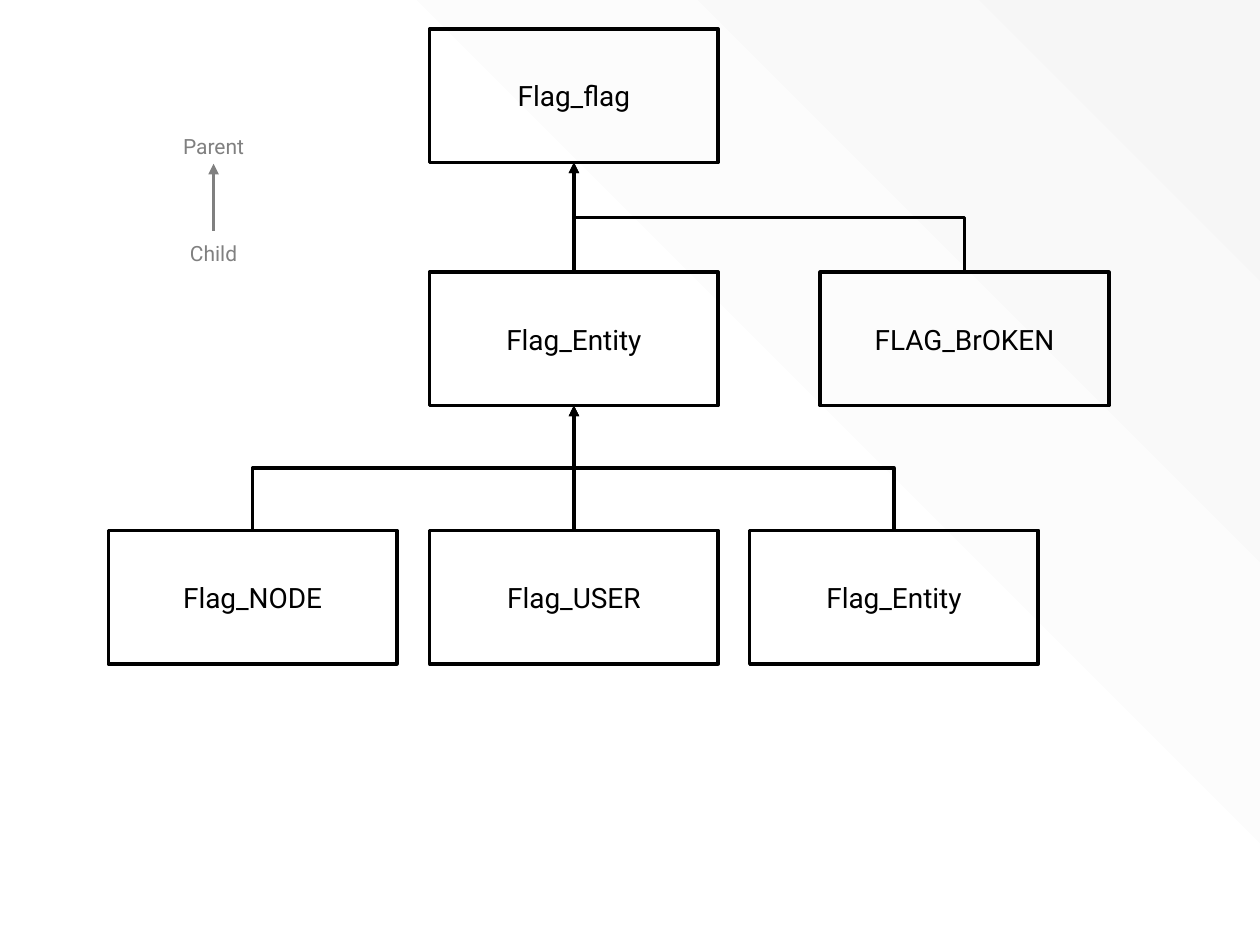
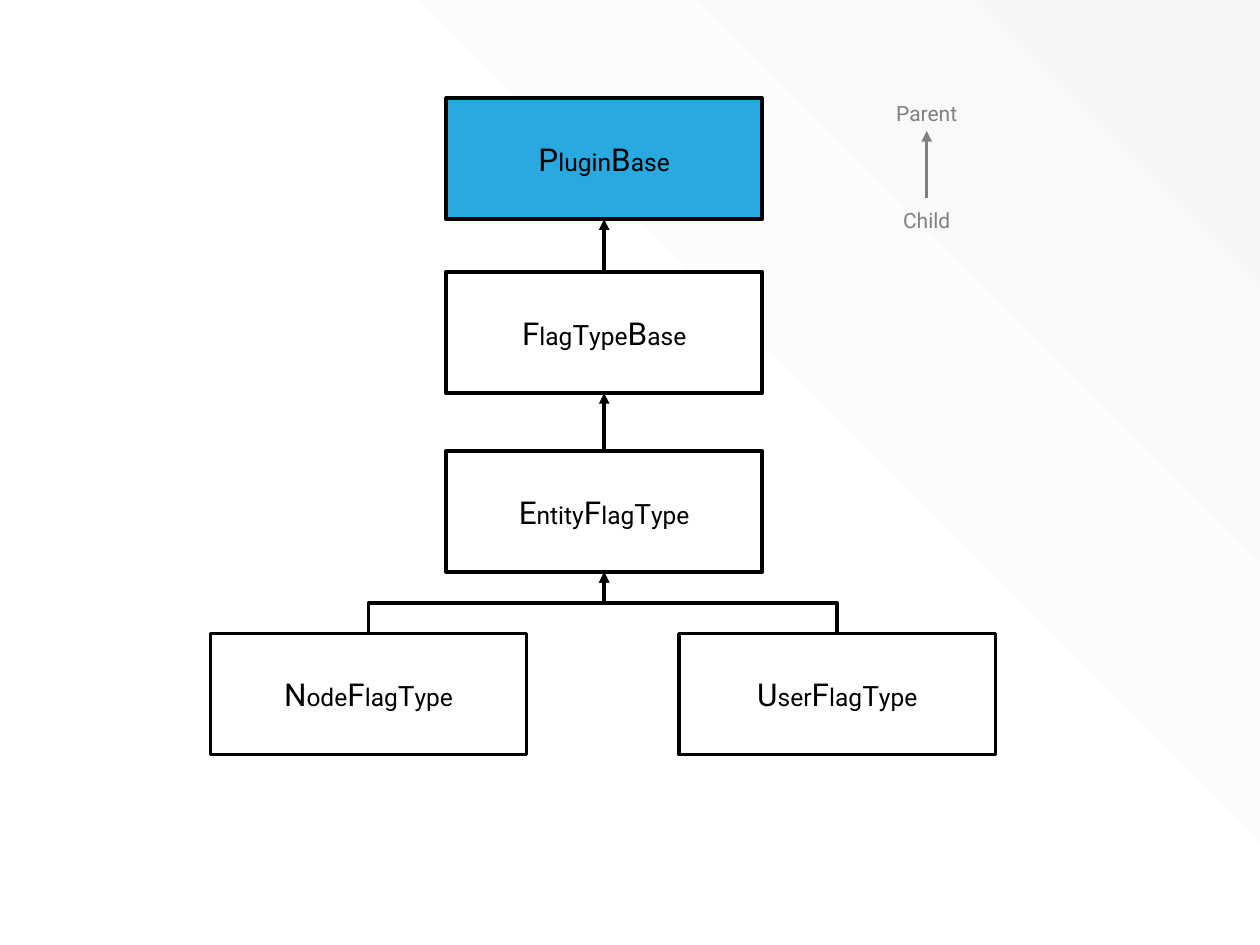
from dataclasses import dataclass
from itertools import groupby

from lxml.etree import SubElement
from pptx import Presentation
from pptx.dml.color import RGBColor
from pptx.enum.shapes import MSO_CONNECTOR, MSO_SHAPE
from pptx.enum.text import MSO_ANCHOR, MSO_AUTO_SIZE, PP_ALIGN
from pptx.oxml.ns import qn
from pptx.shapes.autoshape import Shape
from pptx.shapes.connector import Connector
from pptx.slide import Slide
from pptx.text.text import _Paragraph as Paragraph
from pptx.util import Inches, Pt

FONT = "Roboto"
BLACK = "000000"
WHITE = "FFFFFF"
GRAY = "808080"
PALE_GRAY = "F6F6F6"
BLUE = "28A9E0"
LINE_WIDTH = Pt(2)
BOTTOM, TOP = 2, 0
LEGEND_WIDTH = 1.11
LEGEND_HEIGHT = 0.3


@dataclass(frozen=True)
class ClassBox:
    name: str
    left: float
    top: float
    fill: str | None = None
    children: tuple["ClassBox", ...] = ()


@dataclass(frozen=True)
class Hierarchy:
    root: ClassBox
    box_width: float
    box_height: float
    legend_left: float
    legend_top: float
    small_caps: bool


FLAG_CLASSES = Hierarchy(
    ClassBox("Flag_flag", 3.41, 0.23, children=(
        ClassBox("Flag_Entity", 3.41, 2.16, children=(
            ClassBox("Flag_NODE", 0.86, 4.21),
            ClassBox("Flag_USER", 3.41, 4.21),
            ClassBox("Flag_Entity", 5.95, 4.21),
        )),
        ClassBox("FLAG_BrOKEN", 6.51, 2.16),
    )),
    2.29, 1.06, 1.14, 1.01, False,
)
PLUGIN_CLASSES = Hierarchy(
    ClassBox("PluginBase", 3.54, 0.78, BLUE, (
        ClassBox("FlagTypeBase", 3.54, 2.16, WHITE, (
            ClassBox("EntityFlagType", 3.54, 3.58, WHITE, (
                ClassBox("NodeFlagType", 1.67, 5.03, WHITE),
                ClassBox("UserFlagType", 5.39, 5.03, WHITE),
            )),
        )),
    )),
    2.51, 0.96, 6.8, 0.75, True,
)


def rgb(value: str) -> RGBColor:
    return RGBColor.from_string(value)


def draw_background(slide: Slide, width: int, height: int) -> None:
    backdrop = slide.shapes.add_shape(MSO_SHAPE.RECTANGLE, 0, 0, width, height)
    backdrop.shadow.inherit = False
    backdrop.line.fill.background()
    backdrop.fill.gradient()
    for stop, position, color in zip(
        backdrop.fill.gradient_stops, (0.49, 1), (WHITE, PALE_GRAY)
    ):
        stop.position = position
        stop.color.rgb = rgb(color)
    gradient = backdrop.element.spPr.find(qn("a:gradFill"))
    gradient.remove(gradient.find(qn("a:lin")))
    circle = SubElement(gradient, qn("a:path"), path="circle")
    SubElement(circle, qn("a:fillToRect"), t="100000", r="100000")


def style_paragraph(paragraph: Paragraph, color: str) -> None:
    paragraph.alignment = PP_ALIGN.CENTER
    paragraph.font.name = FONT
    paragraph.font.color.rgb = rgb(color)


def letter_size(letter: str) -> int:
    if letter == "T":
        return 16
    return 18 if letter.isupper() else 14


def draw_box(slide: Slide, box: ClassBox, hierarchy: Hierarchy) -> Shape:
    shape = slide.shapes.add_shape(
        MSO_SHAPE.RECTANGLE, Inches(box.left), Inches(box.top),
        Inches(hierarchy.box_width), Inches(hierarchy.box_height),
    )
    shape.shadow.inherit = False
    if box.fill:
        shape.fill.solid()
        shape.fill.fore_color.rgb = rgb(box.fill)
    else:
        shape.fill.background()
    shape.line.color.rgb = rgb(BLACK)
    shape.line.width = LINE_WIDTH
    shape.text_frame.vertical_anchor = MSO_ANCHOR.MIDDLE
    paragraph = shape.text_frame.paragraphs[0]
    style_paragraph(paragraph, BLACK)
    if hierarchy.small_caps:
        for size, letters in groupby(box.name, letter_size):
            run = paragraph.add_run()
            run.text = "".join(letters)
            run.font.size = Pt(size)
    else:
        paragraph.font.size = Pt(16)
        paragraph.add_run().text = box.name
    return shape


def style_arrow(arrow: Connector, color: str) -> None:
    arrow.line.color.rgb = rgb(color)
    arrow.line.width = LINE_WIDTH
    properties = arrow.element.spPr
    SubElement(properties.find(qn("a:ln")), qn("a:tailEnd"), type="triangle")
    SubElement(properties, qn("a:effectLst"))


def turn_elbow_upright(elbow: Connector) -> None:
    start_x, start_y = elbow.begin_x, elbow.begin_y
    end_x, end_y = elbow.end_x, elbow.end_y
    rise, reach = abs(start_y - end_y), abs(start_x - end_x)
    elbow.left = (start_x + end_x - rise) // 2
    elbow.top = (start_y + end_y - reach) // 2
    elbow.width, elbow.height = rise, reach
    transform = elbow.element.spPr.find(qn("a:xfrm"))
    transform.set("rot", str(270 * 60000))
    transform.set("flipH", "0")
    transform.set("flipV", "1" if start_x > end_x else "0")


def link_to_parent(slide: Slide, child: Shape, parent: Shape) -> None:
    straight = child.left == parent.left
    kind = MSO_CONNECTOR.STRAIGHT if straight else MSO_CONNECTOR.ELBOW
    arrow = slide.shapes.add_connector(
        kind, child.left + child.width // 2, child.top,
        parent.left + parent.width // 2, parent.top + parent.height,
    )
    arrow.begin_connect(child, TOP)
    arrow.end_connect(parent, BOTTOM)
    if not straight:
        turn_elbow_upright(arrow)
    style_arrow(arrow, BLACK)


def draw_tree(slide: Slide, box: ClassBox, hierarchy: Hierarchy) -> Shape:
    parent = draw_box(slide, box, hierarchy)
    for child in box.children:
        link_to_parent(slide, draw_tree(slide, child, hierarchy), parent)
    return parent


def draw_legend(slide: Slide, left: float, top: float) -> None:
    center = Inches(left + LEGEND_WIDTH / 2)
    arrow = slide.shapes.add_connector(
        MSO_CONNECTOR.STRAIGHT, center, Inches(top + 0.82), center, Inches(top + 0.29)
    )
    style_arrow(arrow, GRAY)
    for role, offset in (("Parent", 0), ("Child", 0.85)):
        label = slide.shapes.add_textbox(
            Inches(left), Inches(top + offset), Inches(LEGEND_WIDTH), Inches(LEGEND_HEIGHT)
        )
        label.text_frame.word_wrap = True
        label.text_frame.auto_size = MSO_AUTO_SIZE.SHAPE_TO_FIT_TEXT
        paragraph = label.text_frame.paragraphs[0]
        style_paragraph(paragraph, GRAY)
        paragraph.font.size = Pt(12)
        paragraph.add_run().text = role


def main() -> None:
    presentation = Presentation()
    presentation.slide_width = Inches(10)
    presentation.slide_height = Inches(7.5)
    for hierarchy in (FLAG_CLASSES, PLUGIN_CLASSES):
        slide = presentation.slides.add_slide(presentation.slide_layouts[6])
        draw_background(slide, presentation.slide_width, presentation.slide_height)
        draw_tree(slide, hierarchy.root, hierarchy)
        draw_legend(slide, hierarchy.legend_left, hierarchy.legend_top)
    presentation.save("out.pptx")


if __name__ == "__main__":
    main()
